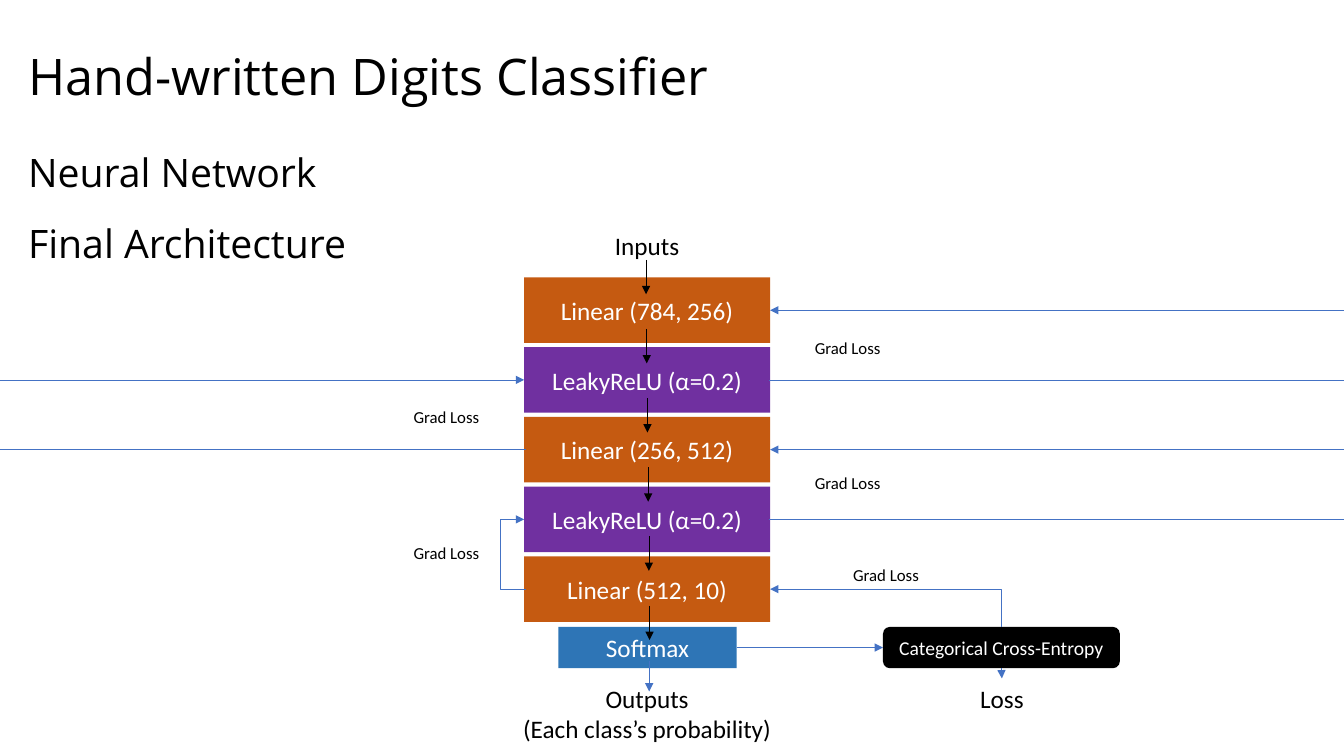
from lxml import etree
from pptx import Presentation
from pptx import util as u
from pptx.dml.color import RGBColor
from pptx.enum import shapes, text
from pptx.oxml.ns import qn

COLORS = {
    "black": "000000",
    "white": "FFFFFF",
    "linear": "C55A11",
    "activation": "7030A0",
    "softmax": "2E75B6",
    "arrow": "4472C4",
}

presentation = Presentation()
presentation.slide_width, presentation.slide_height = u.Pt(960), u.Pt(540)
slide = presentation.slides.add_slide(presentation.slide_layouts[5])


def write(shape, content, size=18, color="black", font="Calibri", spacing=None,
          before=0, align=text.PP_ALIGN.CENTER, anchor=text.MSO_ANCHOR.TOP):
    frame = shape.text_frame
    frame.word_wrap = True
    frame.vertical_anchor = anchor
    frame.text = content
    for paragraph in frame.paragraphs:
        paragraph.alignment = align
        paragraph.line_spacing = spacing
        paragraph.space_before = u.Pt(before)
        paragraph.font.size = u.Pt(size)
        paragraph.font.name = font
        paragraph.font.color.rgb = RGBColor.from_string(COLORS[color])
    return shape


def connect(x1, y1, x2, y2, color="arrow", preset="line", reach=None, arrow="tailEnd"):
    connector = slide.shapes.add_connector(
        shapes.MSO_CONNECTOR.STRAIGHT, u.Pt(x1), u.Pt(y1), u.Pt(x2), u.Pt(y2))
    connector.line.color.rgb = RGBColor.from_string(COLORS[color])
    connector.line.width = u.Pt(0.5)
    etree.SubElement(connector.line._get_or_add_ln(), qn("a:" + arrow), type="triangle")
    properties = connector._element.spPr
    etree.SubElement(properties, qn("a:effectLst"))
    geometry = properties.find(qn("a:prstGeom"))
    geometry.set("prst", preset)
    if reach is not None:
        # The bend is given as a share of the connector's width
        share = round(reach / abs(x2 - x1) * 100000)
        etree.SubElement(geometry.find(qn("a:avLst")), qn("a:gd"),
                         name="adj1", fmla=f"val {share}")
    return connector


# Title and subtitle
title = slide.shapes.title
title.left, title.top, title.width, title.height = u.Pt(13), u.Pt(4.3), u.Pt(828), u.Pt(104.4)
write(title, "Hand-written Digits Classifier", size=36, font="Open Sans", spacing=0.9,
      align=text.PP_ALIGN.LEFT, anchor=text.MSO_ANCHOR.MIDDLE)
subtitle = slide.shapes.add_textbox(u.Pt(13), u.Pt(95.8), u.Pt(934), u.Pt(421))
write(subtitle, "Neural Network\nFinal Architecture", size=28, font="Open Sans",
      spacing=1.2, before=10, align=text.PP_ALIGN.LEFT)

# Layers, softmax and loss function
LEFT, WIDTH, TOP, HEIGHT, PITCH = 374.4, 175.7, 198.2, 46.8, 49.8
RIGHT = LEFT + WIDTH
layers = ["Linear (784, 256)", "LeakyReLU (α=0.2)", "Linear (256, 512)",
          "LeakyReLU (α=0.2)", "Linear (512, 10)"]
blocks = [(name, LEFT, TOP + PITCH * i, WIDTH, HEIGHT, ("linear", "activation")[i % 2], 18)
          for i, name in enumerate(layers)]
blocks += [
    ("Softmax", 398.9, 447.8, 127.4, 29.5, "softmax", 18),
    ("Categorical Cross-Entropy", 630.7, 447.8, 169.2, 29.5, "black", 14),
]
boxes = {}
for name, left, top, width, height, fill, size in blocks:
    rounded = name.startswith("Categorical")
    kind = shapes.MSO_SHAPE.ROUNDED_RECTANGLE if rounded else shapes.MSO_SHAPE.RECTANGLE
    box = slide.shapes.add_shape(kind, u.Pt(left), u.Pt(top), u.Pt(width), u.Pt(height))
    box.shadow.inherit = False
    box.fill.solid()
    box.fill.fore_color.rgb = RGBColor.from_string(COLORS[fill])
    box.line.fill.background()
    boxes[name] = write(box, name, size=size, color="white", anchor=text.MSO_ANCHOR.MIDDLE)

# Labels
labels = [
    ("Inputs", 428.4, 161.3, 67.7, 29, 18),
    ("Outputs\n(Each class’s probability)", 362.9, 484.6, 198.7, 51, 18),
    ("Loss", 616.3, 484.6, 198.7, 29, 18),
]
labels += [("Grad Loss", left, top, 73.4, 21.8, 12) for left, top in
           [(596.2, 399.6), (282.2, 383.8), (568.8, 334), (282.2, 287.3), (568.8, 237.6)]]
for content, left, top, width, height, size in labels:
    label = slide.shapes.add_textbox(u.Pt(left), u.Pt(top), u.Pt(width), u.Pt(height))
    boxes[content] = write(label, content, size=size)

# Forward pass
for i in range(6):
    x, y = 461.5 + 0.5 * i, 185.6 + 49.4 * i
    connect(x, y, x, y + 24.6, color="black")
connect(463.7, 472.3, 463.7, 493.9)
entropy = boxes["Categorical Cross-Entropy"]
to_entropy = connect(526.3, 462.6, 630.7, 462.6)
to_entropy.begin_connect(boxes["Softmax"], 3)
to_entropy.end_connect(entropy, 1)
to_loss = connect(715.3, 477.3, 715.3, 484.6)
to_loss.begin_connect(entropy, 2)
to_loss.end_connect(boxes["Loss"], 0)

# Backward pass: gradient loops climb from each layer to the one above
middles = [TOP + HEIGHT / 2 + PITCH * i for i in range(len(layers))]
connect(RIGHT, middles[-1], 715.3, 447.8, preset="bentConnector2", arrow="headEnd")
for i in range(4, 0, -1):
    edge, inner = (LEFT, LEFT + 1) if i % 2 == 0 else (RIGHT, RIGHT - 1)
    connect(inner, middles[i], edge, middles[i - 1], preset="bentConnector3",
            reach=18 if i == 4 else 600)

presentation.save("out.pptx")
